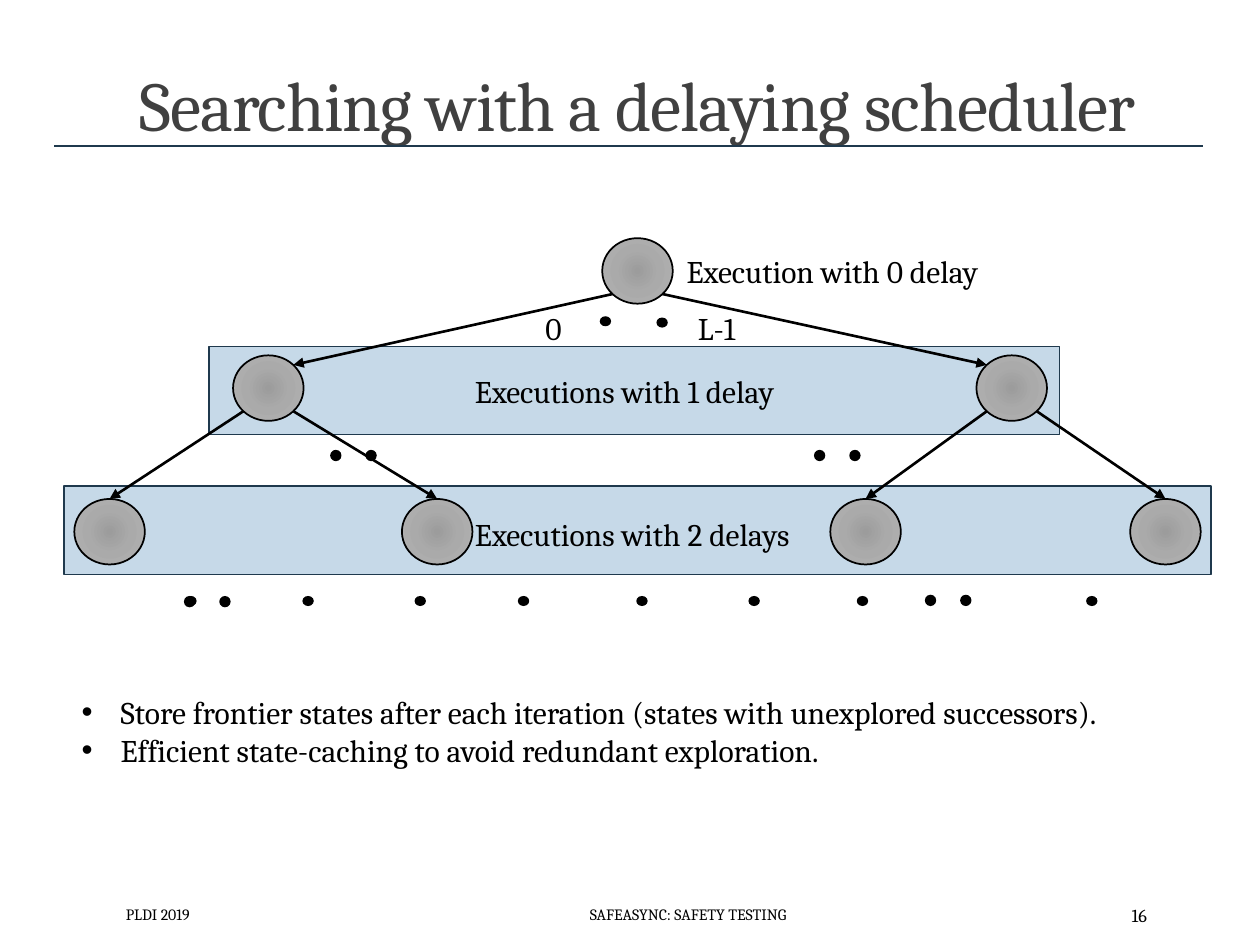
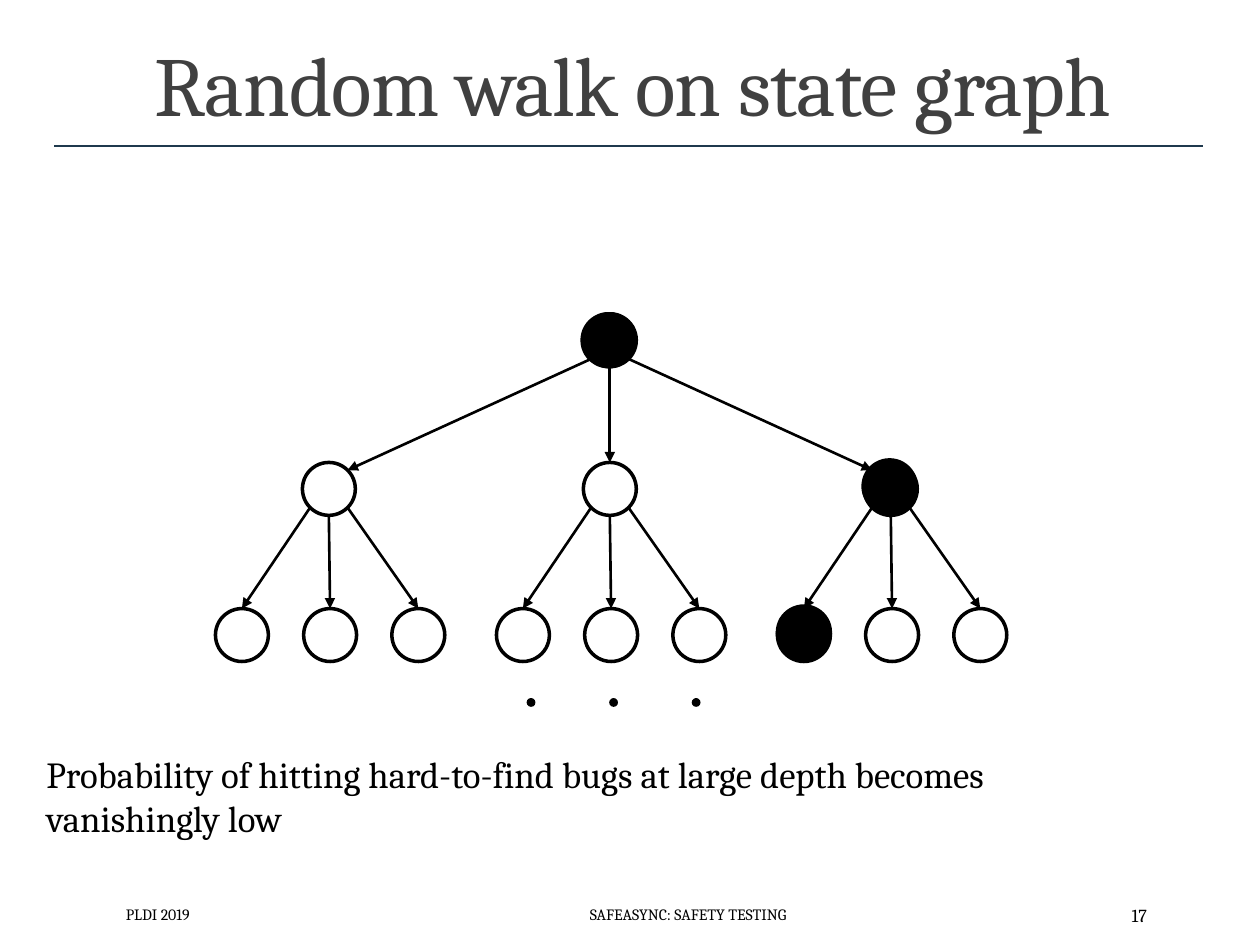
from math import sqrt

from lxml import etree
from pptx import Presentation
from pptx.dml.color import RGBColor
from pptx.enum.shapes import MSO_CONNECTOR as Connector, MSO_SHAPE as Shape
from pptx.enum.text import MSO_ANCHOR as Anchor, PP_ALIGN as Align
from pptx.oxml import parse_xml
from pptx.oxml.ns import nsdecls, qn
from pptx.util import Inches, Pt

COLORS = {
    "ink": "000000",
    "title": "404040",
    "rule": "1F394D",
    "band": "C6D9E8",
    "node_core": "9C9C9C",
    "node_mid": "AAAAAA",
    "node_edge": "B4B4B4",
}
FONT = "Cambria"
DIAGONAL = sqrt(0.5)
# Points on an ellipse, in half-widths and half-heights from its centre
SITES = {
    "top": (0, -1),
    "bottom": (0, 1),
    "top left": (-DIAGONAL, -DIAGONAL),
    "top right": (DIAGONAL, -DIAGONAL),
    "bottom left": (-DIAGONAL, DIAGONAL),
    "bottom right": (DIAGONAL, DIAGONAL),
}


def rgb(name):
    return RGBColor.from_string(COLORS[name])


def site_point(node, site):
    across, down = SITES[site]
    return (int(node.left + node.width / 2 * (1 + across)),
            int(node.top + node.height / 2 * (1 + down)))


class SlideBuilder:
    """Holds the deck's style and the slide being drawn."""

    def __init__(self):
        self.deck = Presentation()
        self.deck.slide_width = Inches(10)
        self.deck.slide_height = Inches(7.5)
        self.page = None

    def new_page(self, title, title_area, title_size, number):
        self.page = self.deck.slides.add_slide(self.deck.slide_layouts[5])
        self.title(title, title_area, title_size)
        self.line((Inches(0.43), Inches(1.16)), (Inches(9.55), Inches(1.16)), "rule", 1)
        footers = [
            (0.9, 2.03, "PLDI 2019", 9, Align.LEFT),
            (2.99, 4.94, "SAFEASYNC: SAFETY TESTING", 9, Align.CENTER),
            (8.12, 1.08, str(number), 10.5, Align.RIGHT),
        ]
        for left, width, words, size, align in footers:
            self.text((left, 7.06, width, 0.4), [words], size, align, Anchor.MIDDLE)

    def title(self, words, area, size):
        box = self.page.shapes.title
        box.left, box.top, box.width, box.height = map(Inches, area)
        box.text_frame.vertical_anchor = Anchor.BOTTOM
        para = box.text_frame.paragraphs[0]
        para.alignment = Align.CENTER
        para.line_spacing = 0.85
        span = self.span(para, words, size, "title")
        span.font._element.set("spc", "-50")

    def span(self, para, words, size, color="ink"):
        span = para.add_run()
        span.text = words
        span.font.name = FONT
        span.font.size = Pt(size)
        span.font.color.rgb = rgb(color)
        return span

    def text(self, area, lines, size=18, align=Align.LEFT, anchor=Anchor.TOP, bullet=False):
        frame = self.page.shapes.add_textbox(*map(Inches, area)).text_frame
        frame.word_wrap = True
        frame.vertical_anchor = anchor
        for index, words in enumerate(lines):
            para = frame.add_paragraph() if index else frame.paragraphs[0]
            para.alignment = align
            self.span(para, words, size)
            if bullet:
                self.add_bullet(para)

    def add_bullet(self, para):
        props = para._p.get_or_add_pPr()
        props.set("marL", str(Inches(0.31)))
        props.set("indent", str(-Inches(0.31)))
        etree.SubElement(props, qn("a:buFont"), typeface="Arial")
        etree.SubElement(props, qn("a:buChar"), char="•")

    def shape(self, kind, area, fill=None, line=None, weight=1):
        shape = self.page.shapes.add_shape(kind, *map(Inches, area))
        shape.shadow.inherit = False
        if fill:
            shape.fill.solid()
            shape.fill.fore_color.rgb = rgb(fill)
        else:
            shape.fill.background()
        if line:
            shape.line.color.rgb = rgb(line)
            shape.line.width = Pt(weight)
        else:
            shape.line.fill.background()
        return shape

    def band(self, *area):
        self.shape(Shape.RECTANGLE, area, "band", "rule")

    def dot(self, left, top, width=0.09, height=0.09):
        self.shape(Shape.OVAL, (left, top, width, height), "ink")

    def shaded_node(self, left, top):
        node = self.shape(Shape.OVAL, (left, top, 0.56, 0.52), "node_mid", "ink")
        stops = "".join(
            f'<a:gs pos="{pos}"><a:srgbClr val="{COLORS[name]}"/></a:gs>'
            for pos, name in [(0, "node_core"), (45000, "node_mid"), (100000, "node_edge")])
        gradient = parse_xml(
            f'<a:gradFill {nsdecls("a")} rotWithShape="1"><a:gsLst>{stops}</a:gsLst>'
            '<a:path path="circle"><a:fillToRect l="100000" t="100000" r="100000" b="100000"/>'
            '</a:path></a:gradFill>')
        props = node._element.spPr
        props.replace(props.find(qn("a:solidFill")), gradient)
        return node

    def state(self, left, top, fill=None):
        return self.shape(Shape.OVAL, (left, top, 0.42, 0.42), fill, "ink", 2)

    def line(self, start, end, color, weight):
        line = self.page.shapes.add_connector(Connector.STRAIGHT, *start, *end)
        line.line.color.rgb = rgb(color)
        line.line.width = Pt(weight)
        etree.SubElement(line._element.spPr, qn("a:effectLst"))
        return line

    def arrow(self, parent, leaving, child, entering="top"):
        line = self.line(site_point(parent, leaving), site_point(child, entering), "ink", 1.5)
        etree.SubElement(line.line._get_or_add_ln(), qn("a:tailEnd"), type="triangle")
        if entering == "top":
            line.end_connect(child, 0)


def draw_delaying_scheduler(builder):
    builder.new_page("Searching with a delaying scheduler", (0.75, 0.12, 8.62, 1.09), 40, 16)
    builder.band(0.51, 3.86, 9.1, 0.7)
    builder.band(1.66, 2.75, 6.75, 0.7)

    root = builder.shaded_node(4.78, 1.89)
    one_delay = [builder.shaded_node(left, 2.82) for left in (1.85, 7.75)]
    two_delays = [builder.shaded_node(left, 3.96) for left in (0.59, 3.19, 6.59, 8.97)]

    builder.arrow(root, "bottom left", one_delay[0], "top right")
    builder.arrow(root, "bottom right", one_delay[1], "top left")
    for index, child in enumerate(two_delays):
        leaving = "bottom right" if index % 2 else "bottom left"
        builder.arrow(one_delay[index // 2], leaving, child)

    for left in (1.47, 2.4, 3.29, 4.11, 5.05, 5.94, 6.8, 8.62):
        builder.dot(left, 4.73, height=0.08)
    builder.dot(4.76, 2.51, height=0.08)
    builder.dot(5.21, 2.52, height=0.08)
    for left, top in [(2.62, 3.57), (6.46, 3.57), (1.46, 4.73), (7.34, 4.72)]:
        builder.dot(left, top)
        builder.dot(left + 0.28, top)

    labels = [
        (4.23, 2.4, 0.34, "0"),
        (5.44, 2.4, 0.56, "L-1"),
        (5.35, 1.95, 2.78, "Execution with 0 delay"),
        (3.67, 2.9, 2.88, "Executions with 1 delay"),
        (3.67, 4.04, 2.98, "Executions with 2 delays"),
    ]
    for left, top, width, words in labels:
        builder.text((left, top, width, 0.38), [words])
    builder.text((0.55, 5.45, 9.35, 0.71), [
        "Store frontier states after each iteration (states with unexplored successors).",
        "Efficient state-caching to avoid redundant exploration.",
    ], bullet=True)


def draw_random_walk(builder):
    builder.new_page("Random walk on state graph", (0.9, 0.23, 8.25, 0.88), 48, 17)
    branches = [("bottom left", "top right"), ("bottom", "top"), ("bottom right", "top left")]
    root = builder.state(4.63, 2.49)
    for column, (leaving, entering) in enumerate(branches):
        left = 2.4 + 2.23 * column
        middle = builder.state(left, 3.67)
        builder.arrow(root, leaving, middle, entering)
        for step, (leaf_side, _) in enumerate(branches):
            leaf = builder.state(left + 0.01 + 0.7 * (step - 1), 4.83)
            builder.arrow(middle, leaf_side, leaf)
        builder.dot(4.18 + 0.655 * column, 5.54, 0.07, 0.07)

    for left, top in [(4.62, 2.49), (6.85, 3.65), (6.17, 4.81)]:
        builder.state(left, top, "ink")
    builder.text((0.27, 5.92, 8.88, 0.81), [
        "Probability of hitting hard-to-find bugs at large depth becomes vanishingly low",
    ], 21)


def main():
    builder = SlideBuilder()
    draw_delaying_scheduler(builder)
    draw_random_walk(builder)
    builder.deck.save("out.pptx")


if __name__ == "__main__":
    main()
